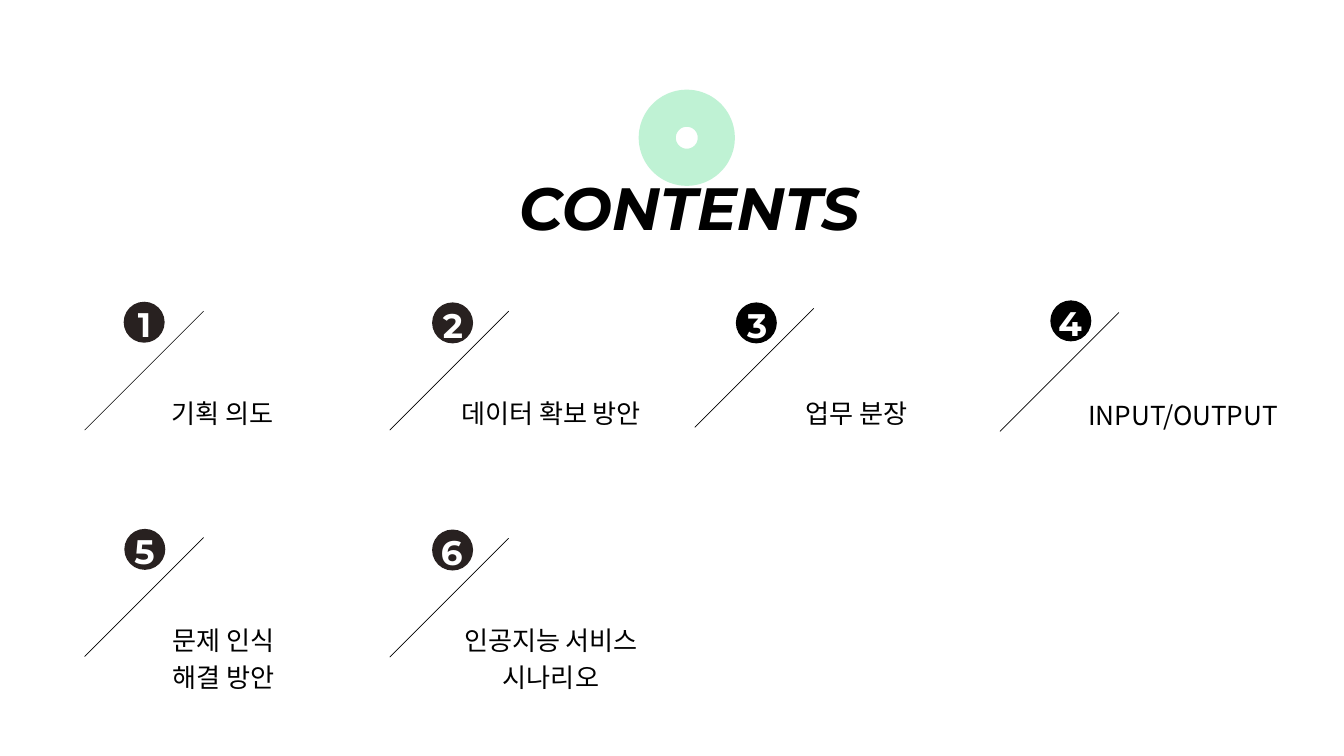
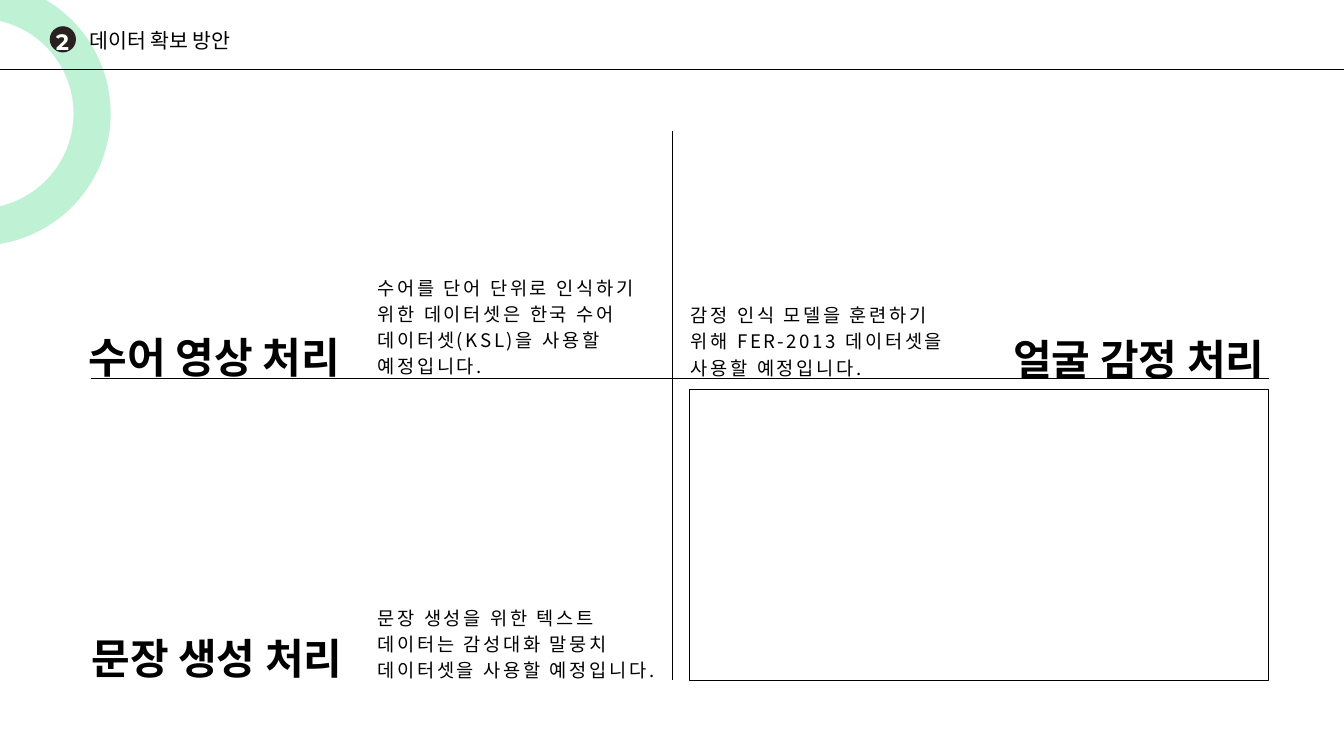
from collections import namedtuple

from lxml.etree import SubElement
from pptx import Presentation
from pptx.dml.color import RGBColor
from pptx.enum.shapes import MSO_CONNECTOR as Connector, MSO_SHAPE as Shape
from pptx.enum.text import MSO_AUTO_SIZE as AutoSize, PP_ALIGN as Align
from pptx.oxml.ns import qn
from pptx.util import Inches, Pt

COLORS = {"ink": "000000", "charcoal": "282120", "mint": "BFF2D4", "paper": "FFFFFF"}
DISPLAY, KOREAN = "Montserrat", "Noto Sans CJK KR"
RING_WIDTH = 39.75
HAIRLINE = 0.75
COLUMN_LEFT, COLUMN_STEP = 1.26, 4.54
SLASH_SIZE = 1.77

Style = namedtuple("Style", "size leading font color bold italic spacing align",
                   defaults=(KOREAN, "ink", False, False, 0, Align.LEFT))
TITLE = Style(63.9, 89.5, DISPLAY, bold=True, italic=True)
NUMBER = Style(36.5, 51, DISPLAY, "paper", bold=True, align=Align.CENTER)
SMALL_NUMBER = Style(23.9, 33.5, DISPLAY, "paper", bold=True, align=Align.CENTER)
ENTRY = Style(28, 39.2, align=Align.CENTER)
SECTION = Style(22, 30.8)
HEADING = Style(45, 63, DISPLAY, bold=True)
BODY = Style(20, 28, spacing=2.8)

Topic = namedtuple("Topic", "number column slash_bottom dot_left dot_top digit_left "
                            "label_top label_width lines color", defaults=("charcoal",))
TOPICS = [
    Topic("1", 0, 6.4, 1.84, 4.49, 2.05, 5.84, 2.95, ["기획 의도"]),
    Topic("2", 1, 6.4, 6.43, 4.5, 6.59, 5.84, 3.54, ["데이터 확보 방안"]),
    Topic("3", 2, 6.36, 10.95, 4.5, 11.12, 5.84, 3.58, ["업무 분장"], "ink"),
    Topic("4", 3, 6.42, 15.63, 4.47, 15.75, 5.86, 3.95, ["INPUT/OUTPUT"], "ink"),
    Topic("5", 0, 9.77, 1.85, 7.87, 2, 9.22, 2.95, ["문제 인식", "해결 방안"]),
    Topic("6", 1, 9.78, 6.43, 7.88, 6.56, 9.22, 3.54, ["인공지능 서비스", "시나리오"]),
]
HEADINGS = [
    ("수어 영상 처리", 1.32, 4.81),
    ("얼굴 감정 처리", 15.08, 4.84),
    ("문장 생성 처리", 1.36, 9.29),
]
DESCRIPTIONS = [
    ("수어를 단어 단위로 인식하기 위한 데이터셋은 한국 수어 데이터셋(KSL)을 사용할 예정입니다.",
     5.62, 4.06, 4.16, 1.56),
    ("문장 생성을 위한 텍스트 데이터는 감성대화 말뭉치 데이터셋을 사용할 예정입니다.",
     5.62, 8.97, 4.13, 1.18),
    ("감정 인식 모델을 훈련하기 위해 FER-2013 데이터셋을 사용할 예정입니다.",
     10.28, 4.47, 4.16, 1.16),
]


def rgb(name):
    """Return the named colour."""
    return RGBColor.from_string(COLORS[name])


def add_outline(slide, preset, left, top, width, height, color, line_width):
    """Add an unfilled preset shape with a coloured line."""
    outline = slide.shapes.add_shape(preset, *map(Inches, (left, top, width, height)))
    outline.shadow.inherit = False
    outline.fill.background()
    outline.line.color.rgb = rgb(color)
    outline.line.width = Pt(line_width)


def add_ring(slide, left, top, diameter):
    """Add a thick mint ring."""
    add_outline(slide, Shape.OVAL, left, top, diameter, diameter, "mint", RING_WIDTH)


def add_dot(slide, left, top, diameter, color):
    """Add a filled disc that carries a number."""
    dot = slide.shapes.add_shape(Shape.OVAL, *map(Inches, (left, top, diameter, diameter)))
    dot.shadow.inherit = False
    dot.fill.solid()
    dot.fill.fore_color.rgb = rgb(color)
    dot.line.fill.background()


def add_rule(slide, *ends):
    """Add a thin straight line between two points."""
    rule = slide.shapes.add_connector(Connector.STRAIGHT, *map(Inches, ends))
    rule.line.color.rgb = rgb("ink")
    rule.line.width = Pt(HAIRLINE)
    SubElement(rule._element.spPr, qn("a:effectLst"))


def add_text(slide, lines, left, top, width, height, style):
    """Add a text box with one paragraph per line."""
    box = slide.shapes.add_textbox(*map(Inches, (left, top, width, height)))
    frame = box.text_frame
    frame.margin_left = frame.margin_right = frame.margin_top = frame.margin_bottom = 0
    frame.word_wrap = True
    frame.auto_size = AutoSize.SHAPE_TO_FIT_TEXT
    for index, line in enumerate(lines):
        paragraph = frame.add_paragraph() if index else frame.paragraphs[0]
        paragraph.alignment = style.align
        paragraph.line_spacing = Pt(style.leading)
        run = paragraph.add_run()
        run.text = line
        font = run.font
        font.size, font.name = Pt(style.size), style.font
        font.bold, font.italic = style.bold, style.italic
        font.color.rgb = rgb(style.color)
        properties = run._r.get_or_add_rPr()
        SubElement(properties, qn("a:ea"), typeface=KOREAN)
        if style.spacing:
            properties.set("spc", str(round(style.spacing * 100)))


def add_topic(slide, topic):
    """Add one numbered entry of the contents."""
    slash_left = COLUMN_LEFT + topic.column * COLUMN_STEP
    add_rule(slide, slash_left, topic.slash_bottom,
             slash_left + SLASH_SIZE, topic.slash_bottom - SLASH_SIZE)
    add_dot(slide, topic.dot_left, topic.dot_top, 0.61, topic.color)
    add_text(slide, topic.number, topic.digit_left, topic.dot_top - 0.07, 0.2, 0.68, NUMBER)
    add_text(slide, topic.lines, topic.dot_left, topic.label_top, topic.label_width,
             0.56 * len(topic.lines), ENTRY)


def add_section_header(slide, number, title):
    """Add the ring, numbered title and rule at the top of a section."""
    add_ring(slide, -2.01, 0, 3.38)
    add_dot(slide, 0.74, 0.39, 0.39, "charcoal")
    add_text(slide, [number], 0.83, 0.36, 0.2, 0.42, SMALL_NUMBER)
    add_rule(slide, -2.78, 1.03, 20, 1.03)
    add_text(slide, [title], 1.33, 0.36, 6.37, 0.43, SECTION)


def build_contents(slide):
    """Build the contents slide."""
    for topic in TOPICS:
        add_topic(slide, topic)
    add_ring(slide, 9.78, 1.61, 0.88)
    add_text(slide, ["CONTENTS"], 7.72, 2.36, 5.4, 1.19, TITLE)


def build_data_plan(slide):
    """Build the data acquisition slide."""
    add_section_header(slide, "2", "데이터 확보 방안")
    add_rule(slide, 1.36, 5.63, 18.88, 5.63)
    add_rule(slide, 10.01, 1.95, 10.01, 10.12)
    add_outline(slide, Shape.RECTANGLE, 10.26, 5.79, 8.61, 4.33, "ink", 1)
    for heading, left, top in HEADINGS:
        add_text(slide, [heading], left, top, 4.03, 0.83, HEADING)
    for description, *place in DESCRIPTIONS:
        add_text(slide, [description], *place, BODY)


def main():
    """Build and save the presentation."""
    deck = Presentation()
    deck.slide_width, deck.slide_height = Inches(20), Inches(11.25)
    for build in (build_contents, build_data_plan):
        build(deck.slides.add_slide(deck.slide_layouts[6]))
    deck.save("out.pptx")


if __name__ == "__main__":
    main()
